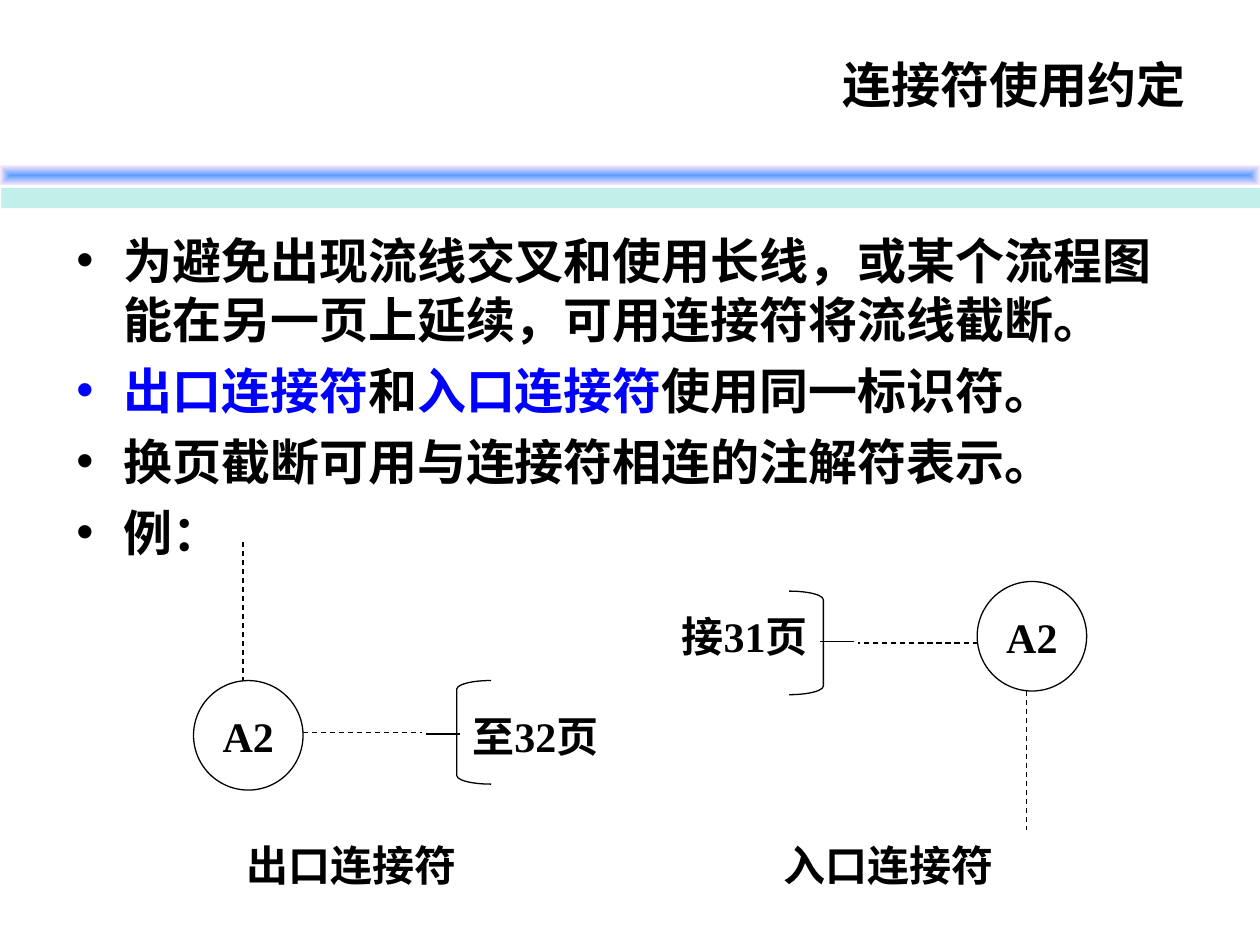
from dataclasses import dataclass

from lxml.etree import SubElement
from pptx import Presentation
from pptx.dml.color import RGBColor
from pptx.enum.dml import MSO_LINE
from pptx.enum.shapes import MSO_CONNECTOR, MSO_SHAPE
from pptx.enum.text import MSO_ANCHOR, PP_ALIGN
from pptx.oxml import parse_xml
from pptx.oxml.ns import nsdecls, qn
from pptx.util import Pt

COLORS = {
    "text": "000000",
    "accent": "0000FE",
    "bar_center": "5E9EFF",
    "bar_edge": "FFEBFA",
    "bar_shadow": "84E2D9",
}
CIRCLE_SIZE = 62.6
BRACKET_WIDTH, BRACKET_HEIGHT = 19.6, 59.2
BULLET_INDENT = 27

BULLETS = [
    [("为避免出现流线交叉和使用长线，或某个流程图能在另一页上延续，可用连接符将流线截断。", "text")],
    [("出口连接符", "accent"), ("和", "text"), ("入口连接符", "accent"), ("使用同一标识符。", "text")],
    [("换页截断可用与连接符相连的注解符表示。", "text")],
    [("例：", "text")],
]


@dataclass
class Line:
    start: tuple[float, float]
    end: tuple[float, float]
    dashed: bool = True


@dataclass
class ConnectorExample:
    circle: tuple[float, float]
    bracket: tuple[float, float]
    bracket_kind: MSO_SHAPE
    note: str
    note_position: tuple[float, float]
    caption: str
    caption_left: float
    lines: list[Line]


EXAMPLES = [
    ConnectorExample(
        (110.6, 388.9), (261, 388.9), MSO_SHAPE.LEFT_BRACKET,
        "至32页", (252, 394.6), "出口连接符", 115.9,
        [Line((138.8, 309.6), (138.8, 388.9)),
         Line((243.4, 419.5), (262.8, 419.5), dashed=False),
         Line((173, 418.5), (241.2, 418.5))],
    ),
    ConnectorExample(
        (558.4, 332.3), (450.9, 337.8), MSO_SHAPE.RIGHT_BRACKET,
        "接31页", (371.5, 337.7), "入口连接符", 422.6,
        [Line((586.8, 394.6), (586.8, 474.2)),
         Line((488.2, 366.5), (468.7, 366.5), dashed=False),
         Line((558.7, 367.4), (490.3, 367.4))],
    ),
]


def color(name: str) -> RGBColor:
    return RGBColor.from_string(COLORS[name])


def write_text(paragraph, text: str, *, size: float = 24, font: str = "Times New Roman",
               color_name: str = "text", align=PP_ALIGN.CENTER) -> None:
    paragraph.alignment = align
    run = paragraph.add_run()
    run.text = text
    run.font.size = Pt(size)
    run.font.name = font
    run.font.bold = True
    run.font.color.rgb = color(color_name)


def add_label(shapes, text: str, left: float, top: float, width: float, height: float) -> None:
    frame = shapes.add_textbox(Pt(left), Pt(top), Pt(width), Pt(height)).text_frame
    frame.word_wrap = False
    frame.vertical_anchor = MSO_ANCHOR.MIDDLE
    write_text(frame.paragraphs[0], text)


def add_outline(shapes, kind: MSO_SHAPE, left: float, top: float, width: float, height: float):
    shape = shapes.add_shape(kind, Pt(left), Pt(top), Pt(width), Pt(height))
    shape.shadow.inherit = False
    shape.fill.background()
    shape.line.color.rgb = color("text")
    shape.line.width = Pt(0.75)
    return shape


def add_line(shapes, line: Line) -> None:
    connector = shapes.add_connector(
        MSO_CONNECTOR.STRAIGHT, *(Pt(value) for value in (*line.start, *line.end)))
    connector.line.color.rgb = color("text")
    connector.line.width = Pt(0.75)
    if line.dashed:
        connector.line.dash_style = MSO_LINE.DASH
    SubElement(connector._element.spPr, qn("a:effectLst"))


def add_example(slide, example: ConnectorExample) -> None:
    shapes = slide.shapes.add_group_shape().shapes
    circle = add_outline(shapes, MSO_SHAPE.OVAL, *example.circle, CIRCLE_SIZE, CIRCLE_SIZE)
    circle.text_frame.word_wrap = False
    circle.text_frame.vertical_anchor = MSO_ANCHOR.MIDDLE
    write_text(circle.text_frame.paragraphs[0], "A2")
    for line in example.lines:
        add_line(shapes, line)
    bracket = add_outline(shapes, example.bracket_kind, *example.bracket,
                          BRACKET_WIDTH, BRACKET_HEIGHT)
    bracket.adjustments[0] = 0.25
    add_label(shapes, example.note, *example.note_position, 108, 51)
    add_label(slide.shapes, example.caption, example.caption_left, 474.5, 170, 39.6)


def add_title_bar(slide) -> None:
    """Bar shaded from its centre outwards, with a solid offset shadow below."""
    bar = slide.shapes.add_shape(MSO_SHAPE.RECTANGLE, Pt(0), Pt(94.5), Pt(720), Pt(11.5))
    bar.line.fill.background()
    properties = bar._element.spPr
    gradient = parse_xml(
        f'<a:gradFill {nsdecls("a")} rotWithShape="1"><a:gsLst>'
        f'<a:gs pos="0"><a:srgbClr val="{COLORS["bar_center"]}"/></a:gs>'
        f'<a:gs pos="100000"><a:srgbClr val="{COLORS["bar_edge"]}"/></a:gs></a:gsLst>'
        '<a:path path="rect"><a:fillToRect l="50000" t="50000" r="50000" b="50000"/></a:path>'
        '</a:gradFill>')
    properties.find(qn("a:prstGeom")).addnext(gradient)
    properties.append(parse_xml(
        f'<a:effectLst {nsdecls("a")}><a:outerShdw dist="{Pt(13)}" dir="{86 * 60000}" '
        f'algn="ctr" rotWithShape="0"><a:srgbClr val="{COLORS["bar_shadow"]}">'
        '<a:alpha val="50000"/></a:srgbClr></a:outerShdw></a:effectLst>'))


def add_bullet(paragraph, color_name: str) -> None:
    properties = paragraph._p.get_or_add_pPr()
    properties.set("marL", str(Pt(BULLET_INDENT)))
    properties.set("indent", str(-Pt(BULLET_INDENT)))
    bullet_color = SubElement(properties, qn("a:buClr"))
    SubElement(bullet_color, qn("a:srgbClr"), val=COLORS[color_name])
    SubElement(properties, qn("a:buFont"), typeface="Arial")
    SubElement(properties, qn("a:buChar"), char="•")


def add_body(slide) -> None:
    frame = slide.shapes.add_textbox(Pt(36.5), Pt(128), Pt(641), Pt(412)).text_frame
    frame.word_wrap = True
    for index, runs in enumerate(BULLETS):
        paragraph = frame.add_paragraph() if index else frame.paragraphs[0]
        add_bullet(paragraph, runs[0][1])
        if index:
            paragraph.space_before = Pt(7)
        for text, color_name in runs:
            write_text(paragraph, text, size=28, font="Arial",
                       color_name=color_name, align=PP_ALIGN.LEFT)


def add_title(slide, text: str) -> None:
    title = slide.shapes.title
    title.left, title.top, title.width, title.height = Pt(36.5), Pt(27.5), Pt(648), Pt(41)
    title.text_frame.vertical_anchor = MSO_ANCHOR.MIDDLE
    write_text(title.text_frame.paragraphs[0], text, size=28, font="Arial", align=PP_ALIGN.RIGHT)


def main() -> None:
    presentation = Presentation()
    presentation.slide_width, presentation.slide_height = Pt(720), Pt(540)
    slide = presentation.slides.add_slide(presentation.slide_layouts[5])
    add_title(slide, "连接符使用约定")
    add_title_bar(slide)
    add_body(slide)
    for example in EXAMPLES:
        add_example(slide, example)
    presentation.save("out.pptx")


if __name__ == "__main__":
    main()
